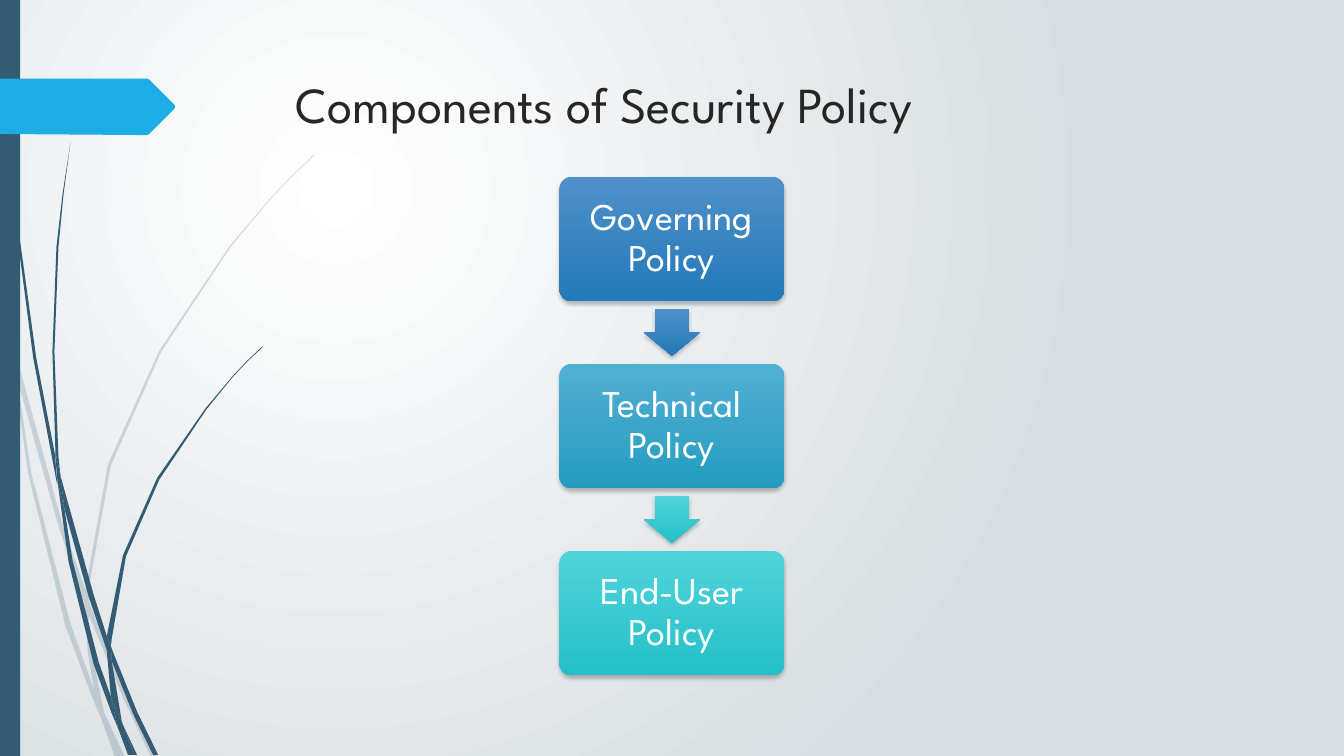
from collections import namedtuple
from dataclasses import dataclass

from lxml import etree
from pptx import Presentation
from pptx import util as u
from pptx.dml.color import RGBColor
from pptx.enum import shapes, text
from pptx.oxml import ns

Box = namedtuple("Box", "left top width height")


@dataclass(frozen=True)
class Theme:
    font: str = "League Spartan"
    title_size: int = 36
    step_size: int = 27
    title: str = "262626"
    step: str = "FFFFFF"
    stem: str = "335B74"
    banner: str = "1CADE4"
    backdrop: tuple = ("FFFFFF", "D7DDE0")
    blue: tuple = ("4F90CB", "237AB8")
    teal: tuple = ("50B0D3", "249CC0")
    aqua: tuple = ("51D3DB", "24C0C8")


THEME = Theme()
OUTLINE_UNIT = u.Cm(0.0254)

PALE_STEMS = [
    "11,350 9,322 0,282 0,299 10,344",
    "58,522 84,599 85,586 62,520 14,345 17,376",
    "92,607 88,596 88,610 123,694 150,751 155,751 127,692",
    "119,751 124,751 105,711",
    "93,683 70,619 31,469 17,376 11,350 28,470 65,621 92,693 101,714 99,707",
    "84,599 87,646 93,683 96,692 105,711 103,706 91,646 88,610 88,608",
    "88,584 110,462 160,349 229,245 268,198 290,175 312,154 312,153 289,175 268,197"
    " 228,244 158,348 107,461 85,584 85,586 88,596",
    "101,714 114,751 119,751",
    "88,608 88,610 88,596 85,586 84,599",
    "96,692 93,683 99,707 101,714 119,751 105,711",
]

DARK_STEMS = [
    "7,110 17,233 33,355 56,477 57,481 55,457 55,453 36,355 19,232 8,109 5,48 4,0 3,0 4,48",
    "88,592 106,645 106,633 106,631 93,590 60,472 64,505",
    "113,649 110,641 111,656 132,708 152,749 157,749 136,706",
    "110,691 98,657 72,556 64,505 57,477 68,557 93,659 111,708 117,722 116,717",
    "60,472 58,453 54,349 58,245 63,193 70,141 62,193 56,245 52,349 55,449",
    "133,749 136,749 122,719",
    "57,477 64,505 60,472 55,449 55,453",
    "111,633 125,552 158,476 205,406 231,374 245,359 261,344 260,344 245,358 231,373"
    " 204,405 156,474 122,551 106,631 110,641",
    "117,722 127,749 131,749",
    "106,645 110,691 116,706 122,719 121,716 111,656 109,651",
    "106,645 109,651 111,656 110,641 106,631 106,633",
    "116,706 110,691 116,717 117,722 130,749 133,749 122,719",
]

BANNER = "0,78 146,78 148,79 173,104 174,106 173,108 148,133 146,134 136,134 0,133"

STEPS = [
    ("Governing Policy", THEME.blue),
    ("Technical Policy", THEME.teal),
    ("End-User Policy", THEME.aqua),
]


def paint_solid(shape, color, opacity=100):
    shape.shadow.inherit = False
    shape.line.fill.background()
    shape.fill.solid()
    shape.fill.fore_color.rgb = RGBColor.from_string(color)
    if opacity < 100:
        for tint in shape.element.spPr.xpath("./a:solidFill/a:srgbClr"):
            etree.SubElement(tint, ns.qn("a:alpha"), val=str(opacity * 1000))


def blend(fill, colors):
    fill.gradient()
    for stop, color in zip(fill.gradient_stops, colors):
        stop.color.rgb = RGBColor.from_string(color)


def paint_raised(shape, colors):
    shape.line.fill.background()
    blend(shape.fill, colors)
    shape.fill.gradient_angle = 270
    shape.shadow.inherit = False
    effects = shape.element.spPr.find(ns.qn("a:effectLst"))
    shadow = etree.SubElement(
        effects, ns.qn("a:outerShdw"), blurRad=str(u.Pt(3)), dist=str(u.Pt(2)),
        dir="5400000", algn="ctr", rotWithShape="0")
    tint = etree.SubElement(shadow, ns.qn("a:srgbClr"), val="000000")
    etree.SubElement(tint, ns.qn("a:alpha"), val="25000")


def style_text(paragraph, size, color):
    for run in paragraph.runs:
        run.font.name = THEME.font
        run.font.size = u.Pt(size)
        run.font.color.rgb = RGBColor.from_string(color)


def draw_outline(parent, box, outline, color, opacity=100):
    points = [tuple(map(int, pair.split(","))) for pair in outline.split()]
    builder = parent.build_freeform(*points[0], scale=OUTLINE_UNIT)
    builder.add_line_segments(points[1:], close=True)
    paint_solid(builder.convert_to_shape(box.left, box.top), color, opacity)


def draw_backdrop(slide):
    blend(slide.background.fill, THEME.backdrop)
    gradient = slide.element.xpath("./p:cSld/p:bg//a:gradFill")[0]
    gradient.remove(gradient.find(ns.qn("a:lin")))
    circle = etree.SubElement(gradient, ns.qn("a:path"), path="circle")
    etree.SubElement(circle, ns.qn("a:fillToRect"),
                     l="50000", t="50000", r="100000", b="100000")


def draw_side_art(slide, box):
    for stems, opacity in ((PALE_STEMS, 20), (DARK_STEMS, 100)):
        tuft = slide.shapes.add_group_shape()
        for stem in stems:
            draw_outline(tuft.shapes, box, stem, THEME.stem, opacity)
    edge = slide.shapes.add_shape(
        shapes.MSO_SHAPE.RECTANGLE, box.left, box.top, u.Cm(0.51), box.height)
    paint_solid(edge, THEME.stem)
    draw_outline(slide.shapes, box, BANNER, THEME.banner)


def draw_title(slide, box):
    heading = slide.shapes.add_textbox(*box).text_frame
    heading.word_wrap = True
    heading.text = "Components of Security Policy"
    style_text(heading.paragraphs[0], THEME.title_size, THEME.title)


def draw_step(parent, box, label, colors):
    step = parent.add_shape(shapes.MSO_SHAPE.ROUNDED_RECTANGLE, *box)
    step.adjustments[0] = 0.1
    paint_raised(step, colors)
    frame = step.text_frame
    frame.word_wrap = True
    frame.vertical_anchor = text.MSO_ANCHOR.MIDDLE
    frame.margin_left = frame.margin_right = u.Cm(0.38)
    frame.margin_top = frame.margin_bottom = u.Cm(0.38)
    frame.text = label
    caption = frame.paragraphs[0]
    caption.alignment = text.PP_ALIGN.CENTER
    caption.line_spacing = 0.9
    style_text(caption, THEME.step_size, THEME.step)


def draw_arrow(parent, gap, colors):
    width, height = gap.width // 4, gap.height * 3 // 4
    arrow = parent.add_shape(
        shapes.MSO_SHAPE.DOWN_ARROW, gap.left + (gap.width - width) // 2,
        gap.top + (gap.height - height) // 2, width, height)
    arrow.adjustments[0] = 0.6
    arrow.adjustments[1] = 0.5
    paint_raised(arrow, colors)


def draw_policy_flow(slide, box):
    flow = slide.shapes.add_group_shape().shapes
    gap_height = box.height // (3 * len(STEPS) - 1)
    step_height = 2 * gap_height
    for index, (label, colors) in enumerate(STEPS):
        top = box.top + index * (step_height + gap_height)
        if index:
            arrow_colors = STEPS[0][1] if index == 1 else colors
            draw_arrow(flow, Box(box.left, top - gap_height, box.width, gap_height),
                       arrow_colors)
        draw_step(flow, Box(box.left, top, box.width, step_height), label, colors)


def main():
    deck = Presentation()
    deck.slide_width, deck.slide_height = u.Cm(33.87), u.Cm(19.05)
    slide = deck.slides.add_slide(deck.slide_layouts[6])
    draw_backdrop(slide)
    draw_side_art(slide, Box(0, 0, u.Cm(7.92), deck.slide_height))
    draw_title(slide, Box(u.Cm(7.21), u.Cm(1.73), u.Cm(24.77), u.Cm(3.56)))
    draw_policy_flow(slide, Box(u.Cm(14.1), u.Cm(4.45), u.Cm(5.67), u.Cm(12.57)))
    deck.save("out.pptx")


if __name__ == "__main__":
    main()
